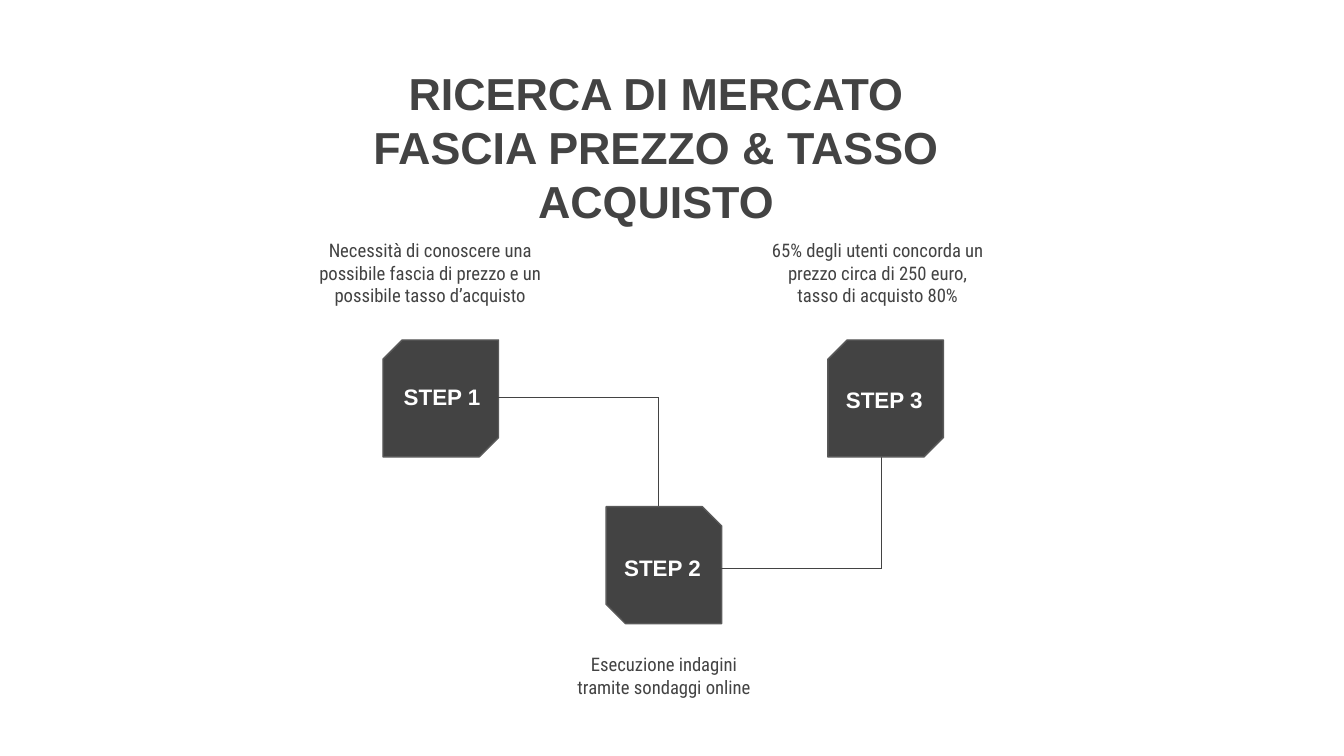
from lxml import etree
from pptx import Presentation
from pptx import util as u
from pptx.dml.color import RGBColor
from pptx.enum import shapes, text
from pptx.oxml import ns

COLORS = {"dark": "434343", "outline": "595959", "white": "FFFFFF"}


def color(name):
    return RGBColor.from_string(COLORS[name])


def write(frame, words, font="Arial", size=12, ink="dark", bold=False,
          anchor=text.MSO_ANCHOR.TOP):
    frame.word_wrap = True
    frame.vertical_anchor = anchor
    frame.margin_left = frame.margin_right = u.Inches(0.1)
    frame.margin_top = frame.margin_bottom = u.Inches(0.1)
    para = frame.paragraphs[0]
    para.alignment = text.PP_ALIGN.CENTER
    for index, line in enumerate(words.split("\n")):
        if index:
            para.add_line_break()
        span = para.add_run()
        span.text = line
        span.font.name = font
        span.font.size = u.Pt(size)
        span.font.bold = bold
        span.font.color.rgb = color(ink)


class StepSlide:
    line_width = u.Pt(0.75)
    tile_size = (0.86, 0.87)
    snip = 0.167

    def __init__(self, deck):
        self.slide = deck.slides.add_slide(deck.slide_layouts[6])

    def label(self, words, area, **style):
        box = self.slide.shapes.add_textbox(*map(u.Inches, area))
        write(box.text_frame, words, **style)

    def tile(self, left, top, snip_top_left):
        tile = self.slide.shapes.add_shape(
            shapes.MSO_SHAPE.SNIP_2_DIAG_RECTANGLE,
            *map(u.Inches, (left, top, *self.tile_size)))
        tile.adjustments[0] = self.snip if snip_top_left else 0
        tile.adjustments[1] = 0 if snip_top_left else self.snip
        tile.shadow.inherit = False
        tile.fill.solid()
        tile.fill.fore_color.rgb = color("dark")
        tile.line.color.rgb = color("outline")
        tile.line.width = self.line_width

    def line(self, start, end):
        line = self.slide.shapes.add_connector(
            shapes.MSO_CONNECTOR.STRAIGHT, *map(u.Inches, (*start, *end)))
        line.line.color.rgb = color("dark")
        line.line.width = self.line_width
        etree.SubElement(line._element.spPr, ns.qn("a:effectLst"))

    def elbow(self, start, corner, end):
        self.line(start, corner)
        self.line(corner, end)


deck = Presentation()
deck.slide_width = u.Inches(10)
deck.slide_height = u.Inches(10 * 9 / 16)
page = StepSlide(deck)

page.label("RICERCA DI MERCATO\nFASCIA PREZZO & TASSO ACQUISTO",
           (1.91, 0.39, 5.94, 1.03), size=24, bold=True)

page.tile(2.85, 2.53, True)
page.elbow((3.26, 2.96), (4.9, 2.96), (4.9, 3.95))
page.tile(4.51, 3.77, False)
page.elbow((4.92, 4.23), (6.56, 4.23), (6.56, 3.23))
page.tile(6.16, 2.53, True)

STEPS = [
    ("STEP 1", (2.86, 2.75), text.MSO_ANCHOR.TOP,
     "Necessità di conoscere una possibile fascia di prezzo e un "
     "possibile tasso d’acquisto", (2.26, 1.68, 1.88, 0.78)),
    ("STEP 2", (4.5, 4.02), text.MSO_ANCHOR.TOP,
     "Esecuzione indagini tramite sondaggi online",
     (4.14, 4.76, 1.6, 0.66)),
    ("STEP 3", (6.15, 2.76), text.MSO_ANCHOR.MIDDLE,
     "65% degli utenti concorda un prezzo circa di 250 euro, "
     "tasso di acquisto 80%", (5.61, 1.68, 1.84, 0.66)),
]
for name, corner, anchor, detail, area in STEPS:
    page.label(name, (*corner, 0.86, 0.43), ink="white", bold=True, anchor=anchor)
    page.label(detail, area, font="Roboto Condensed", size=10)

deck.save("out.pptx")
